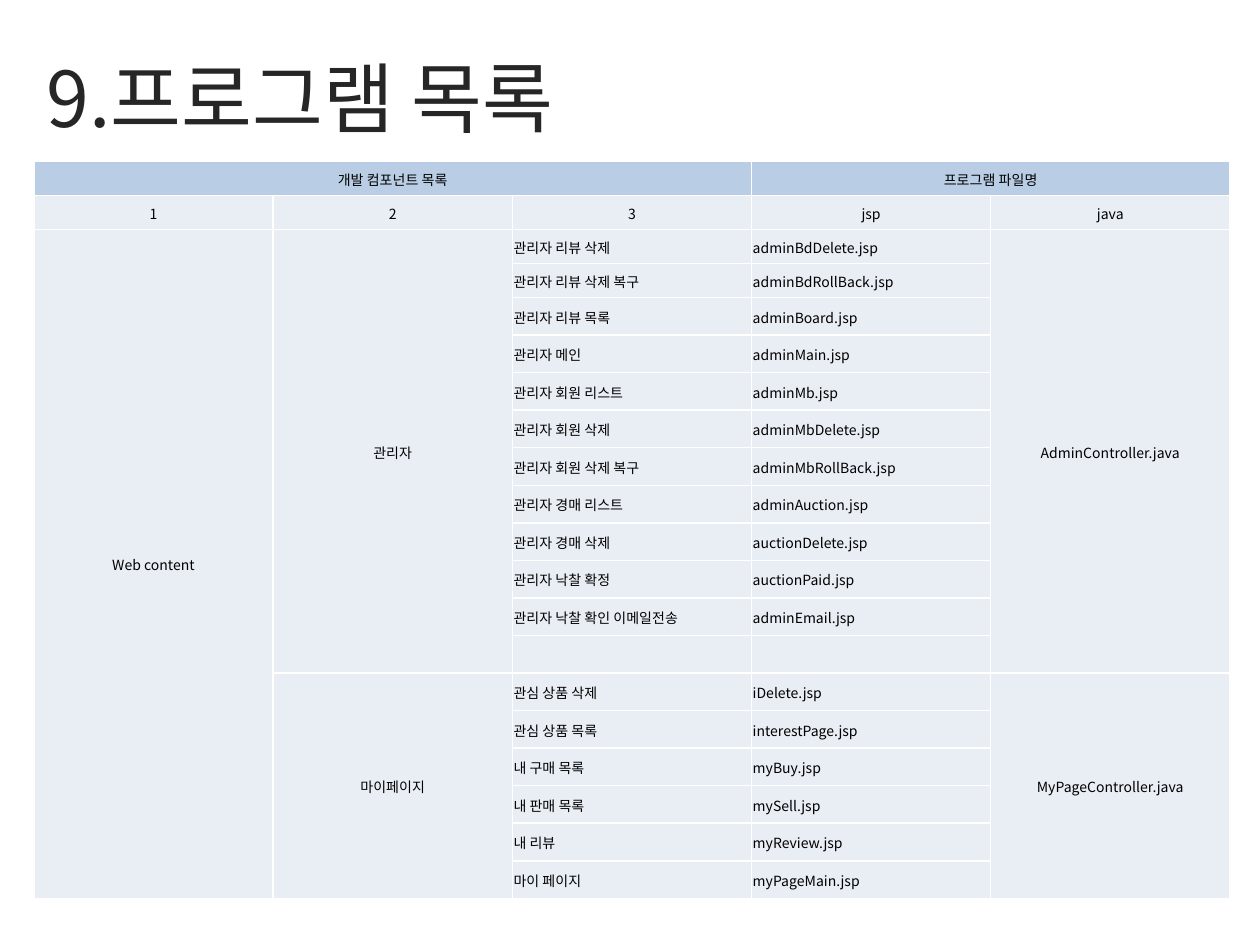
import dataclasses

import lxml.etree
import pptx
import pptx.dml.color
import pptx.enum.text
import pptx.oxml.ns
import pptx.util

Pt = pptx.util.Pt
Color = pptx.dml.color.RGBColor.from_string
Align = pptx.enum.text.PP_ALIGN
Anchor = pptx.enum.text.MSO_ANCHOR
qn = pptx.oxml.ns.qn


@dataclasses.dataclass(frozen=True)
class Theme:
    font: str = "Noto Sans CJK KR"
    title: str = "262626"
    text: str = "000000"
    head: str = "B9CDE5"
    body: str = "E9EDF4"
    line: str = "FFFFFF"
    big: int = 44
    small: int = 8


THEME = Theme()
LEFT, WIDTH = 19.4, 683.5
TOP = 92.2
COLS = 5
SHORT, TALL = 19.45, 21.47
SHORT_ROWS = 4

HEADS = [
    ["개발 컴포넌트 목록", "", "", "프로그램 파일명", ""],
    ["1", "2", "3", "jsp", "java"],
]
GROUPS = [
    ("관리자", "AdminController.java", [
        ("관리자 리뷰 삭제", "adminBdDelete.jsp"),
        ("관리자 리뷰 삭제 복구", "adminBdRollBack.jsp"),
        ("관리자 리뷰 목록", "adminBoard.jsp"),
        ("관리자 메인", "adminMain.jsp"),
        ("관리자 회원 리스트", "adminMb.jsp"),
        ("관리자 회원 삭제", "adminMbDelete.jsp"),
        ("관리자 회원 삭제 복구", "adminMbRollBack.jsp"),
        ("관리자 경매 리스트", "adminAuction.jsp"),
        ("관리자 경매 삭제", "auctionDelete.jsp"),
        ("관리자 낙찰 확정", "auctionPaid.jsp"),
        ("관리자 낙찰 확인 이메일전송", "adminEmail.jsp"),
        ("", ""),
    ]),
    ("마이페이지", "MyPageController.java", [
        ("관심 상품 삭제", "iDelete.jsp"),
        ("관심 상품 목록", "interestPage.jsp"),
        ("내 구매 목록", "myBuy.jsp"),
        ("내 판매 목록", "mySell.jsp"),
        ("내 리뷰", "myReview.jsp"),
        ("마이 페이지", "myPageMain.jsp"),
    ]),
]


def style_text(para, size, color, align):
    para.alignment = align
    for run in para.runs:
        run.font.size = Pt(size)
        run.font.name = THEME.font
        run.font.color.rgb = Color(color)
        east = lxml.etree.SubElement(run.font._element, qn("a:ea"))
        east.set("typeface", THEME.font)
    if not para.runs:
        end = lxml.etree.SubElement(para._p, qn("a:endParaRPr"))
        end.set("sz", str(size * 100))


def add_title(slide, text):
    title = slide.shapes.title
    title.left, title.top = Pt(LEFT), Pt(26.6)
    title.width, title.height = Pt(WIDTH), Pt(56.9)
    frame = title.text_frame
    frame.text = text
    frame.word_wrap = True
    frame.auto_size = pptx.enum.text.MSO_AUTO_SIZE.NONE
    frame.vertical_anchor = Anchor.MIDDLE
    style_text(frame.paragraphs[0], THEME.big, THEME.title, Align.LEFT)


def add_lines(cell):
    props = cell._tc.get_or_add_tcPr()
    for side in ("L", "R", "T", "B"):
        line = lxml.etree.SubElement(props, qn("a:ln" + side))
        line.set("w", str(Pt(1)))
        fill = lxml.etree.SubElement(line, qn("a:solidFill"))
        lxml.etree.SubElement(fill, qn("a:srgbClr")).set("val", THEME.line)


def style_cell(cell, text, fill, align):
    cell.text_frame.text = text
    cell.margin_left = cell.margin_right = cell.margin_top = Pt(0.7)
    cell.margin_bottom = 0
    cell.vertical_anchor = Anchor.MIDDLE
    add_lines(cell)
    cell.fill.solid()
    cell.fill.fore_color.rgb = Color(fill)
    style_text(cell.text_frame.paragraphs[0], THEME.small, THEME.text, align)


def list_rows():
    rows = [list(head) for head in HEADS]
    for name, java, files in GROUPS:
        for pos, (task, page) in enumerate(files):
            first = pos == 0
            rows.append(["", name if first else "", task, page,
                         java if first else ""])
    rows[len(HEADS)][0] = "Web content"
    return rows


def merge_cells(table, count):
    table.cell(0, 0).merge(table.cell(0, 2))
    table.cell(0, 3).merge(table.cell(0, 4))
    start = len(HEADS)
    table.cell(start, 0).merge(table.cell(count - 1, 0))
    for _, _, files in GROUPS:
        last = start + len(files) - 1
        for col in (1, 4):
            table.cell(start, col).merge(table.cell(last, col))
        start = last + 1


def add_grid(slide):
    rows = list_rows()
    count = len(rows)
    sizes = [SHORT if i < SHORT_ROWS else TALL for i in range(count)]
    frame = slide.shapes.add_table(count, COLS, Pt(LEFT), Pt(TOP),
                                   Pt(WIDTH), Pt(sum(sizes)))
    table = frame.table
    table.first_row = table.horz_banding = False
    for col in table.columns:
        col.width = Pt(WIDTH / COLS)
    for r, (row, size) in enumerate(zip(rows, sizes)):
        table.rows[r].height = Pt(size)
        fill = THEME.body if r else THEME.head
        for c, text in enumerate(row):
            plain = r >= len(HEADS) and c in (2, 3)
            align = Align.LEFT if plain else Align.CENTER
            style_cell(table.cell(r, c), text, fill, align)
    merge_cells(table, count)


def main():
    deck = pptx.Presentation()
    deck.slide_width, deck.slide_height = Pt(720), Pt(540)
    slide = deck.slides.add_slide(deck.slide_layouts[5])
    add_title(slide, "9.프로그램 목록")
    add_grid(slide)
    deck.save("out.pptx")


if __name__ == "__main__":
    main()
